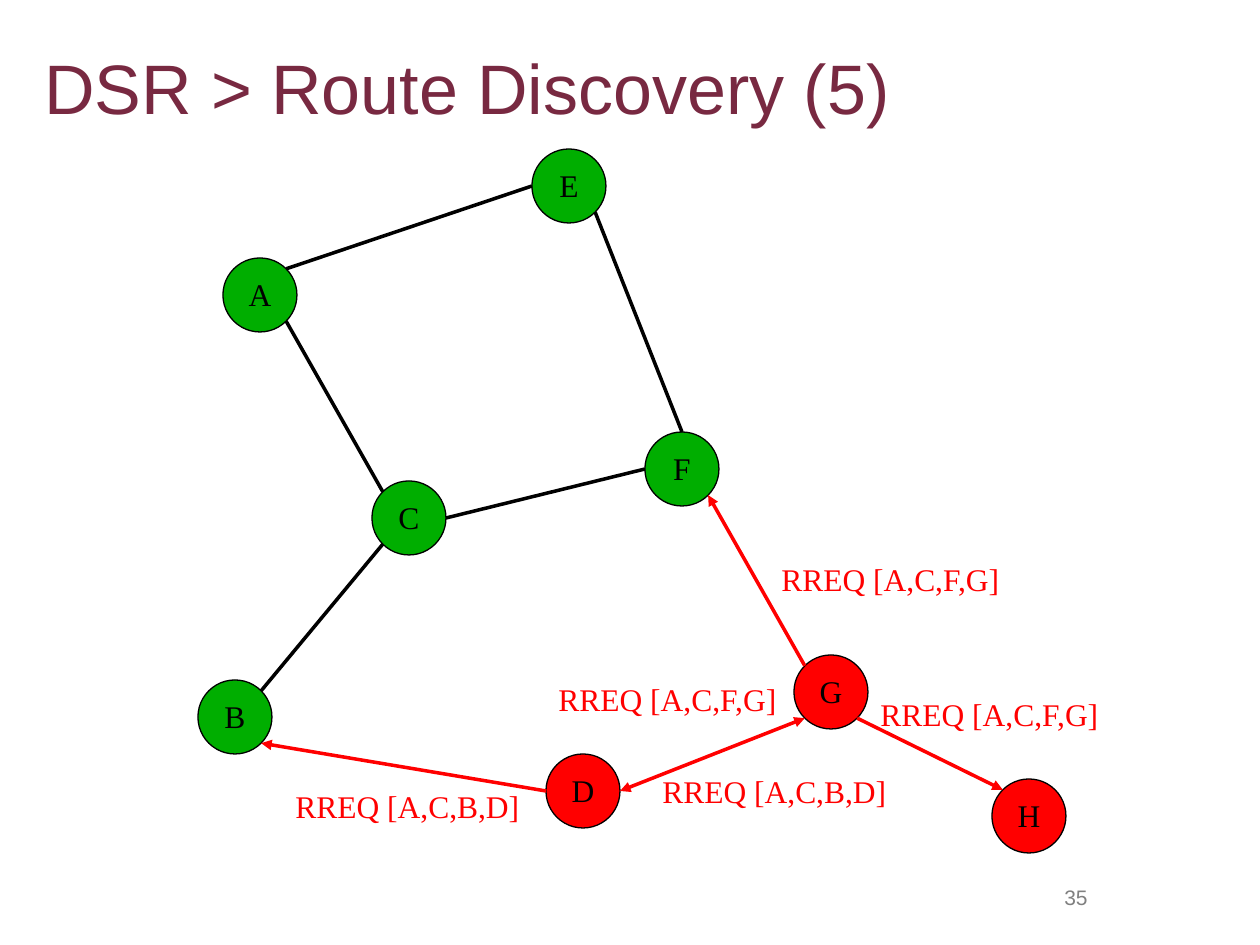
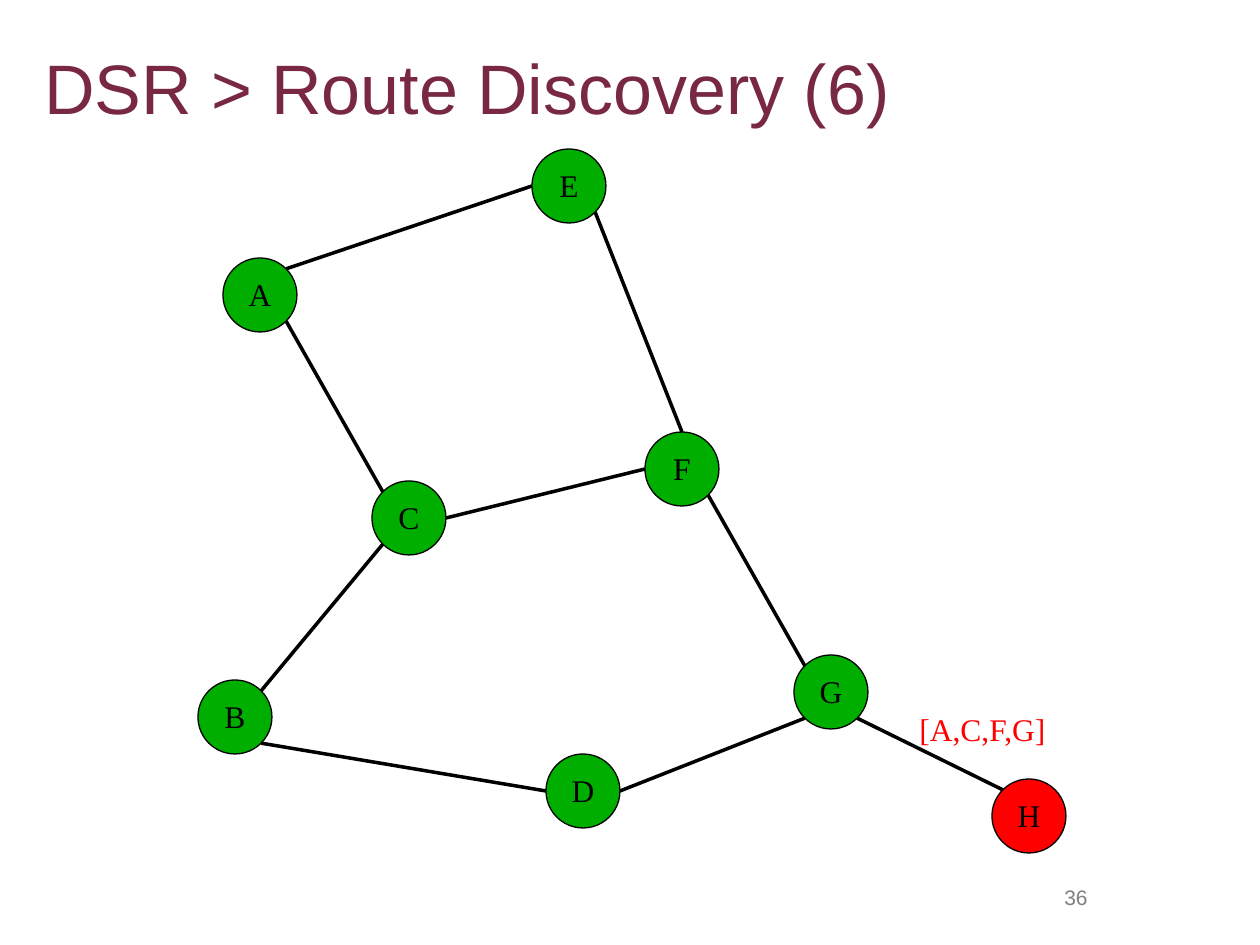
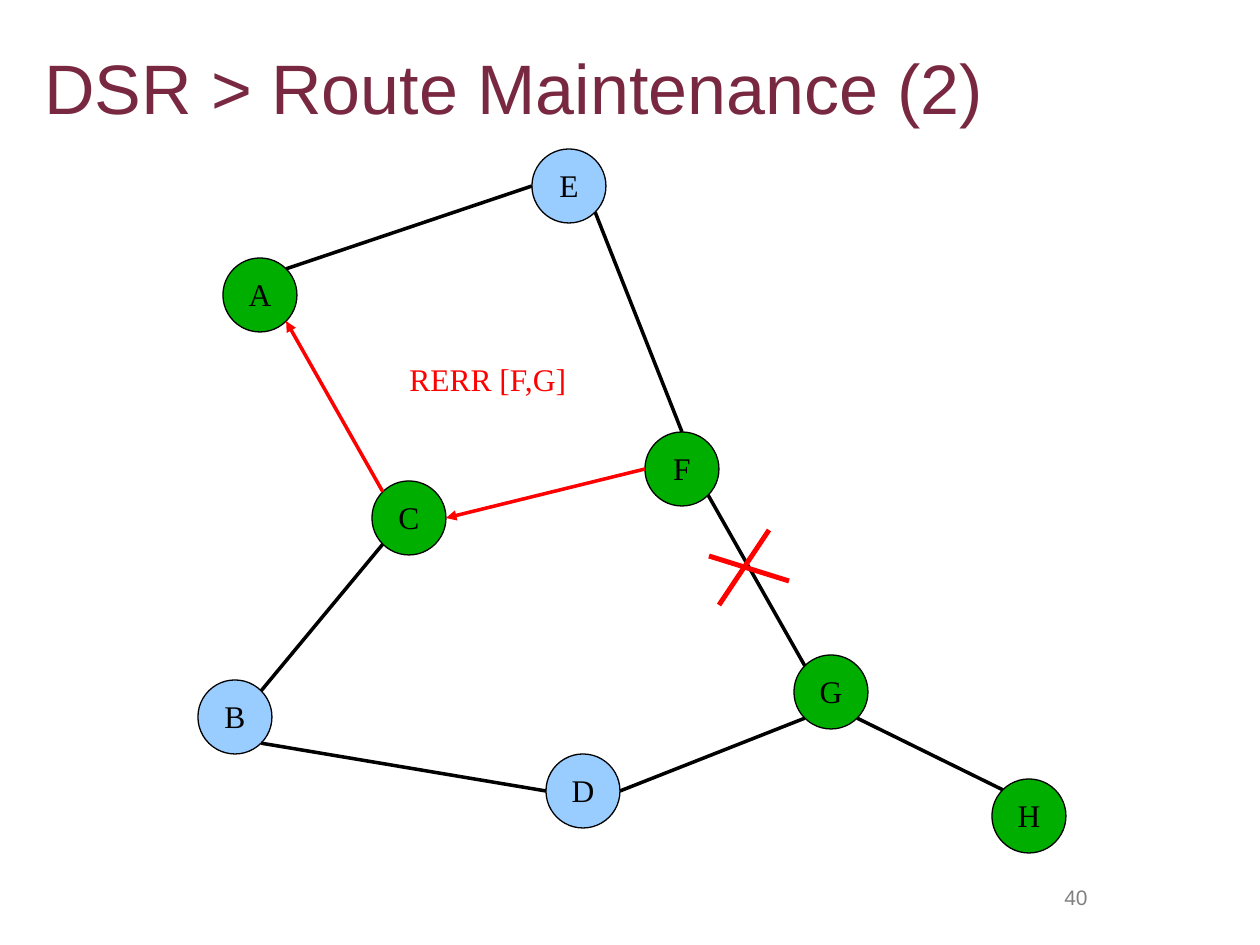
from math import sqrt

from pptx import Presentation
from pptx.dml.color import RGBColor
from pptx.enum.shapes import MSO_CONNECTOR as Connector, MSO_SHAPE as Shape
from pptx.enum.text import MSO_ANCHOR as Anchor, MSO_AUTO_SIZE as AutoSize, PP_ALIGN as Align
from pptx.oxml.ns import qn
from pptx.util import Emu, Pt
from lxml.etree import SubElement

EMU_PER_PX = 914400 / 126
SLIDE_W, SLIDE_H = 1260, 945
BLANK = 6
HEADING_FONT, DIAGRAM_FONT = "Arial", "Times New Roman"
COLORS = {
    "title": "782941",
    "reached": "00AE00",
    "active": "FF0000",
    "idle": "99CCFF",
    "ink": "000000",
    "number": "808080",
}

# Network layout: top left corner of each node, and the sides each link joins
NODE_SIZE = 74
NODES = {
    "A": (223, 258), "B": (198, 680), "C": (372, 481), "E": (532, 149),
    "D": (546, 754), "F": (645, 432), "G": (794, 655), "H": (992, 779),
}
LINKS = [
    ("A", "NE", "E", "W"), ("E", "SE", "F", "N"), ("C", "NW", "A", "SE"),
    ("C", "E", "F", "W"), ("B", "NE", "C", "SW"), ("B", "SE", "D", "W"),
    ("F", "SE", "G", "NW"), ("D", "E", "G", "SW"), ("G", "SE", "H", "NW"),
]
COMPASS = {"N": (0, -1), "E": (1, 0), "S": (0, 1), "W": (-1, 0)}

# Each hop names its sender and receiver; nodes not listed are "reached"
SLIDES = [
    {
        "title": "DSR > Route Discovery (5)", "number": "35",
        "states": dict.fromkeys("DGH", "active"),
        "hops": ["GH", "DB", "GF", "GD", "DG"],
        "labels": [
            ("RREQ [A,C,B,D]", 650, 769, 282), ("RREQ [A,C,F,G]", 769, 557, 273),
            ("RREQ [A,C,F,G]", 546, 677, 273), ("RREQ [A,C,F,G]", 868, 692, 273),
            ("RREQ [A,C,B,D]", 283, 784, 282),
        ],
    },
    {
        "title": "DSR > Route Discovery (6)", "number": "36",
        "states": {"H": "active"},
        "labels": [("[A,C,F,G]", 907, 707, 174)],
    },
    {
        "title": "DSR > Route Maintenance (2)", "number": "40",
        "states": dict.fromkeys("BDE", "idle"),
        "hops": ["CA", "FC"],
        "labels": [("RERR [F,G]", 397, 357, 208)],
        "break": [((769, 530), (719, 605)), ((789, 581), (709, 556))],
    },
]


def px(length):
    return Emu(round(length * EMU_PER_PX))


def color(name):
    return RGBColor.from_string(COLORS[name])


def node_edge(node, side):
    """Point on a node's circle in a compass direction."""
    radius = NODE_SIZE / 2
    reach = radius / sqrt(len(side))
    left, top = NODES[node]
    return (left + radius + reach * sum(COMPASS[c][0] for c in side),
            top + radius + reach * sum(COMPASS[c][1] for c in side))


class Deck:
    def __init__(self):
        self.prs = Presentation()
        self.prs.slide_width, self.prs.slide_height = px(SLIDE_W), px(SLIDE_H)
        self.slide = None

    def new_slide(self, title, number):
        self.slide = self.prs.slides.add_slide(self.prs.slide_layouts[BLANK])
        heading = self.text_box(32, 44, 1081, 100)
        heading.vertical_anchor = Anchor.MIDDLE
        heading.auto_size = AutoSize.SHAPE_TO_FIT_TEXT
        self.text(heading, title, HEADING_FONT, 40, "title", spacing=0.8)
        footer = self.text_box(977, 878, 123, 40)
        line = self.text(footer, number, HEADING_FONT, 12, "number", Align.RIGHT)
        line.space_before = Pt(7.5)

    def text_box(self, left, top, width, height):
        frame = self.slide.shapes.add_textbox(px(left), px(top), px(width), px(height)).text_frame
        frame.word_wrap = True
        return frame

    def text(self, frame, words, font, size, ink, align=Align.LEFT, spacing=None):
        line = frame.paragraphs[0]
        line.alignment, line.line_spacing = align, spacing
        run = line.add_run()
        run.text = words
        run.font.name, run.font.size = font, Pt(size)
        run.font.color.rgb = color(ink)
        return line

    def diagram_text(self, frame, words, ink, align=Align.LEFT):
        frame.margin_top = px(16)
        self.text(frame, words, DIAGRAM_FONT, 18, ink, align, spacing=0.61)

    def node(self, name, state):
        left, top = NODES[name]
        circle = self.slide.shapes.add_shape(
            Shape.OVAL, px(left), px(top), px(NODE_SIZE), px(NODE_SIZE))
        circle.shadow.inherit = False
        circle.fill.solid()
        circle.fill.fore_color.rgb = color(state)
        circle.line.color.rgb = color("ink")
        circle.line.width = Pt(0)
        circle.text_frame.vertical_anchor = Anchor.MIDDLE
        self.diagram_text(circle.text_frame, name, "ink", Align.CENTER)

    def label(self, words, left, top, width):
        frame = self.text_box(left, top, width, 60)
        frame.auto_size = AutoSize.SHAPE_TO_FIT_TEXT
        self.diagram_text(frame, words, "active")

    def line(self, start, end, ink, weight=0, arrows=()):
        link = self.slide.shapes.add_connector(
            Connector.STRAIGHT, *(px(value) for value in (*start, *end)))
        link.line.color.rgb = color(ink)
        link.line.width = Pt(weight)
        outline = link._element.spPr.find(qn("a:ln"))
        for arrow in arrows:
            SubElement(outline, qn(f"a:{arrow}"), type="triangle")
        SubElement(link._element.spPr, qn("a:effectLst"))

    def link(self, first, first_side, second, second_side, hops):
        arrows = [arrow for arrow, hop in
                  (("headEnd", second + first), ("tailEnd", first + second)) if hop in hops]
        self.line(node_edge(first, first_side), node_edge(second, second_side),
                  "active" if arrows else "ink", arrows=arrows)


def main():
    deck = Deck()
    for step in SLIDES:
        deck.new_slide(step["title"], step["number"])
        # Network
        for name in NODES:
            deck.node(name, step["states"].get(name, "reached"))
        for link in LINKS:
            deck.link(*link, step.get("hops", []))
        # Messages and the broken link's cross
        for label in step["labels"]:
            deck.label(*label)
        for start, end in step.get("break", []):
            deck.line(start, end, "active", weight=2.83)
    deck.prs.save("out.pptx")


if __name__ == "__main__":
    main()
